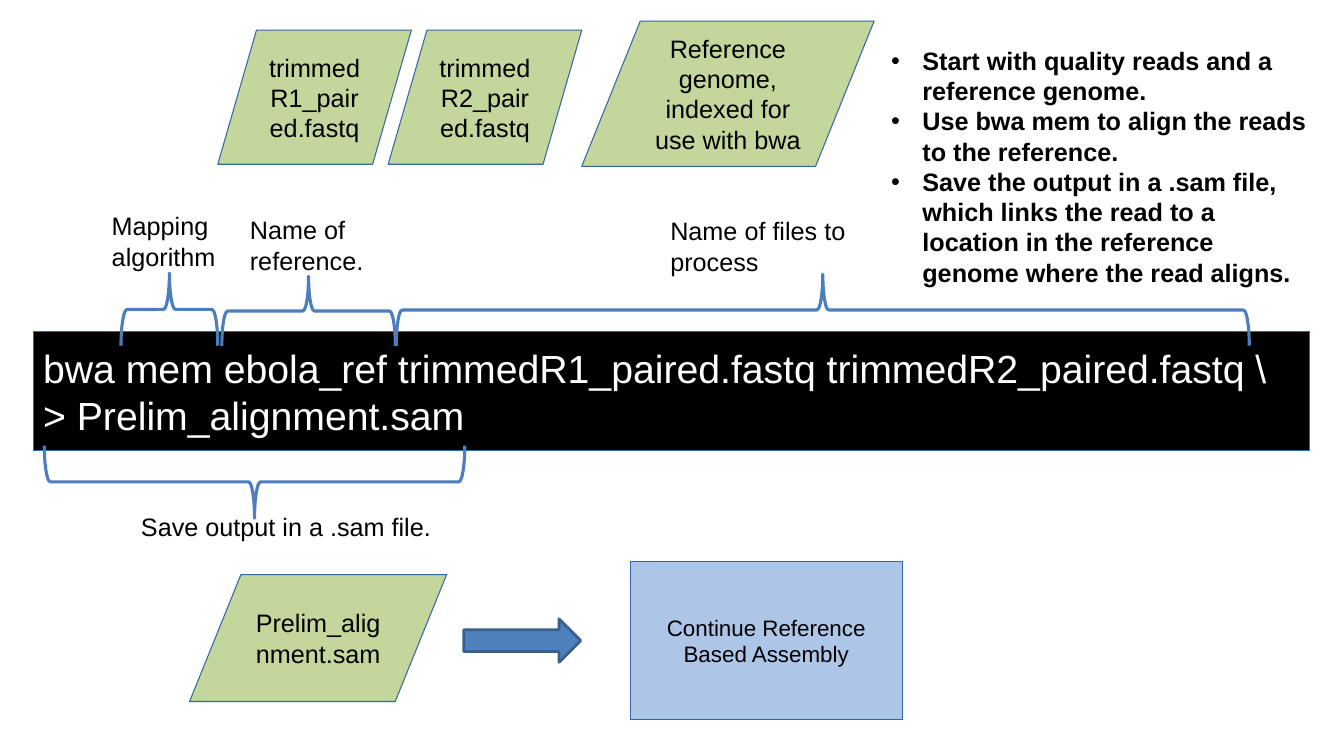
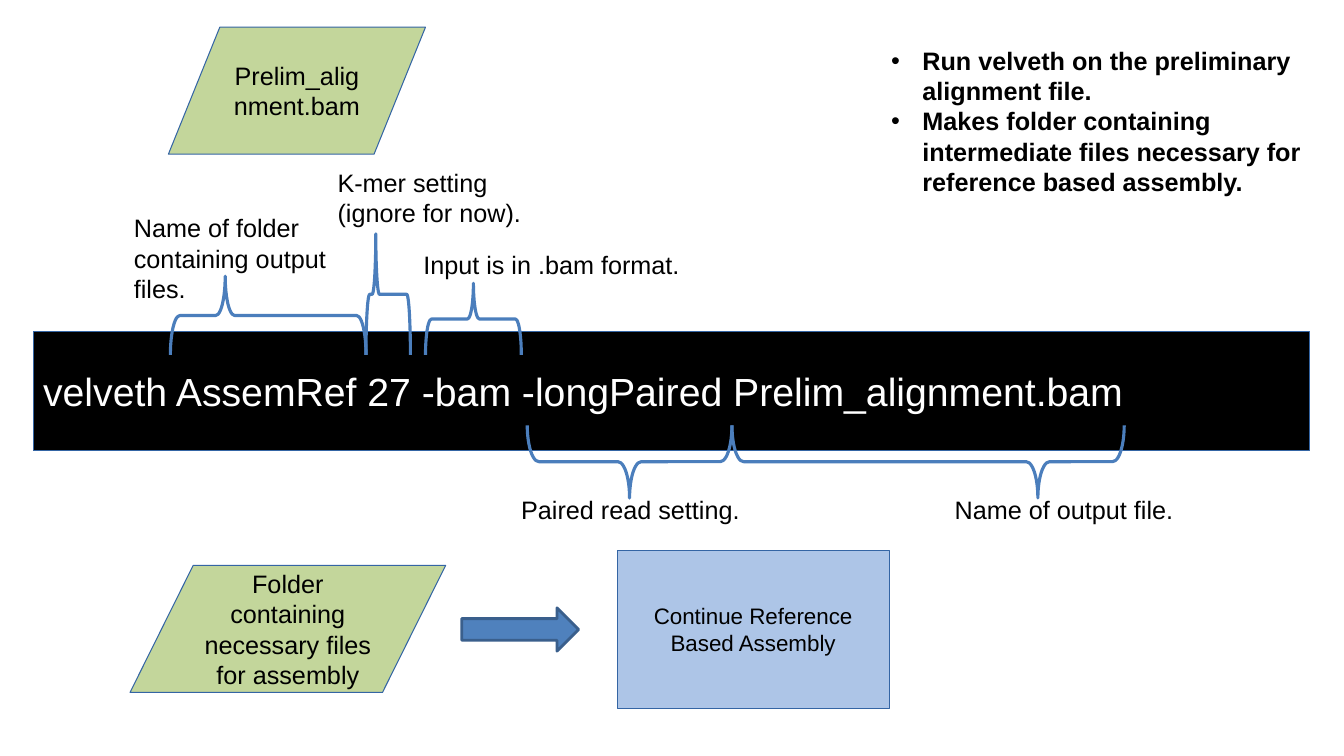
from dataclasses import dataclass

from lxml.etree import SubElement
from pptx import Presentation
from pptx.dml.color import RGBColor
from pptx.enum.shapes import MSO_SHAPE as Preset
from pptx.enum.text import MSO_ANCHOR as Anchor, MSO_AUTO_SIZE as AutoSize, PP_ALIGN as Align
from pptx.oxml.ns import qn
from pptx.shapes.autoshape import Shape
from pptx.slide import Slide
from pptx.util import Inches, Pt


@dataclass(frozen=True)
class Theme:
    font: str = "Arial"
    ink: str = "000000"
    terminal: str = "000000"
    terminal_ink: str = "FFFFFF"
    data: str = "C3D69B"
    step: str = "ADC5E7"
    arrow: str = "4F81BD"
    arrow_edge: str = "3A5F8C"
    edge: str = "3465A4"
    brace: str = "4B7EBC"
    command_size: int = 28
    body_size: int = 18
    step_size: int = 16
    edge_width: float = 0.75
    arrow_width: float = 2
    brace_width: float = 2.25


@dataclass(frozen=True)
class Area:
    left: float
    top: float
    width: float
    height: float

    def turned(self) -> "Area":
        shift = (self.width - self.height) / 2
        return Area(self.left + shift, self.top - shift, self.height, self.width)


@dataclass(frozen=True)
class Item:
    text: str
    area: Area


@dataclass(frozen=True)
class Brace:
    left: float
    span: float
    depth: float
    above: bool = True
    bend: float = 0.083
    tip: float = 0.5


@dataclass(frozen=True)
class CommandPage:
    command: list[str]
    points: list[str]
    data: list[Item]
    labels: list[Item]
    braces: list[Brace]
    upper_edge: float
    lower_edge: float
    arrow: Area
    step: Area


THEME = Theme()
COMMAND_AREA = Area(0.33, 3.29, 12.66, 1.18)
POINTS_AREA = Area(8.74, 0.4, 4.38, 1.48)
STEP_TEXT = "Continue Reference Based Assembly"
BULLET_INDENT = 0.31

PAGES = [
    CommandPage(
        command=[
            "bwa mem ebola_ref trimmedR1_paired.fastq trimmedR2_paired.fastq \\",
            "> Prelim_alignment.sam",
        ],
        points=[
            "Start with quality reads and a reference genome.",
            "Use bwa mem to align the reads to the reference.",
            "Save the output in a .sam file, which links the read to a location "
            "in the reference genome where the read aligns.",
        ],
        data=[
            Item("trimmedR1_paired.fastq", Area(2.16, 0.3, 1.92, 1.33)),
            Item("trimmedR2_paired.fastq", Area(3.85, 0.3, 1.92, 1.33)),
            Item("Reference genome, indexed for use with bwa", Area(5.77, 0.21, 2.9, 1.44)),
            Item("Prelim_alignment.sam", Area(1.88, 5.7, 2.55, 1.26)),
        ],
        labels=[
            Item("Mapping algorithm", Area(1.01, 2.04, 1.35, 0.71)),
            Item("Name of reference.", Area(2.38, 2.08, 1.35, 0.71)),
            Item("Name of files to process", Area(6.55, 2.09, 2.66, 0.71)),
            Item("Save output in a .sam file.", Area(1.3, 5.02, 3.41, 0.4)),
        ],
        braces=[
            Brace(1.2, 0.96, 0.72),
            Brace(2.2, 1.72, 0.69),
            Brace(3.93, 8.46, 0.71),
            Brace(0.44, 4.17, 0.72, above=False),
        ],
        upper_edge=3.43,
        lower_edge=4.42,
        arrow=Area(4.6, 6.14, 1.16, 0.43),
        step=Area(6.25, 5.57, 2.7, 1.57),
    ),
    CommandPage(
        command=["velveth AssemRef 27 -bam -longPaired Prelim_alignment.bam"],
        points=[
            "Run velveth on the preliminary alignment file.",
            "Makes folder containing intermediate files necessary for reference based assembly.",
        ],
        data=[
            Item("Prelim_alignment.bam", Area(1.67, 0.27, 2.55, 1.26)),
            Item("Folder containing necessary files for assembly", Area(1.29, 5.61, 3.13, 1.26)),
        ],
        labels=[
            Item("Name of folder containing output files.", Area(1.23, 2.06, 2.33, 1.01)),
            Item("K-mer setting (ignore for now).", Area(3.25, 1.61, 2.33, 0.71)),
            Item("Input is in .bam format.", Area(4.1, 2.42, 2.94, 0.4)),
            Item("Paired read setting.", Area(5.07, 4.85, 3.41, 0.4)),
            Item("Name of output file.", Area(9.37, 4.85, 3.41, 0.4)),
        ],
        braces=[
            Brace(1.69, 1.94, 0.78, bend=0.12, tip=0.72),
            Brace(3.63, 0.44, 1.2, tip=0.78),
            Brace(4.22, 0.95, 0.71),
            Brace(5.23, 2.03, 0.72, above=False, bend=0.16),
            Brace(7.26, 3.89, 0.72, above=False, bend=0.16, tip=0.78),
        ],
        upper_edge=3.52,
        lower_edge=4.22,
        arrow=Area(4.58, 6.03, 1.16, 0.43),
        step=Area(6.12, 5.46, 2.7, 1.57),
    ),
]


def frame(area: Area) -> list[int]:
    return [Inches(value) for value in (area.left, area.top, area.width, area.height)]


def write(
    box: Shape,
    lines: list[str],
    size: int = THEME.body_size,
    color: str = THEME.ink,
    align: Align = Align.LEFT,
    anchor: Anchor = Anchor.TOP,
    bulleted: bool = False,
) -> None:
    box.text_frame.word_wrap = True
    box.text_frame.vertical_anchor = anchor
    box.text_frame.text = "\n".join(lines)
    font_format = {"name": THEME.font, "size": Pt(size), "bold": bulleted}
    for para in box.text_frame.paragraphs:
        para.alignment = align
        if bulleted:
            add_bullet(para)
        for span in para.runs:
            for name, value in font_format.items():
                setattr(span.font, name, value)
            span.font.color.rgb = RGBColor.from_string(color)


def add_bullet(para) -> None:
    properties = para._p.get_or_add_pPr()
    indent = Inches(BULLET_INDENT)
    properties.set("marL", str(indent))
    properties.set("indent", str(-indent))
    SubElement(properties, qn("a:buFont")).set("typeface", THEME.font)
    SubElement(properties, qn("a:buChar")).set("char", "•")


def draw_shape(
    page: Slide,
    preset: Preset,
    area: Area,
    fill: str | None,
    edge: str = THEME.edge,
    width: float = THEME.edge_width,
) -> Shape:
    shape = page.shapes.add_shape(preset, *frame(area))
    shape.shadow.inherit = False
    if fill:
        shape.fill.solid()
        shape.fill.fore_color.rgb = RGBColor.from_string(fill)
    else:
        shape.fill.background()
    shape.line.color.rgb = RGBColor.from_string(edge)
    shape.line.width = Pt(width)
    return shape


def draw_text(page: Slide, area: Area) -> Shape:
    return page.shapes.add_textbox(*frame(area))


def draw_brace(page: Slide, brace: Brace, edge: float) -> None:
    top = edge - brace.depth if brace.above else edge
    area = Area(brace.left, top, brace.span, brace.depth).turned()
    shape = draw_shape(page, Preset.LEFT_BRACE, area, None, THEME.brace, THEME.brace_width)
    shape.rotation = 90 if brace.above else 270
    shape.adjustments[0] = brace.bend
    shape.adjustments[1] = brace.tip


def draw_page(page: Slide, content: CommandPage) -> None:
    terminal = draw_shape(page, Preset.RECTANGLE, COMMAND_AREA, THEME.terminal)
    write(terminal, content.command, THEME.command_size, THEME.terminal_ink, anchor=Anchor.MIDDLE)
    write(draw_text(page, POINTS_AREA), content.points, bulleted=True)

    for item in content.data:
        shape = draw_shape(page, Preset.FLOWCHART_DATA, item.area, THEME.data)
        write(shape, [item.text], align=Align.CENTER, anchor=Anchor.MIDDLE)
    for brace in content.braces:
        draw_brace(page, brace, content.upper_edge if brace.above else content.lower_edge)
    for item in content.labels:
        label = draw_text(page, item.area)
        write(label, [item.text])
        label.text_frame.auto_size = AutoSize.SHAPE_TO_FIT_TEXT

    draw_shape(
        page, Preset.DOWN_ARROW, content.arrow.turned(),
        THEME.arrow, THEME.arrow_edge, THEME.arrow_width,
    ).rotation = 270
    step = draw_shape(page, Preset.RECTANGLE, content.step, THEME.step)
    write(step, [STEP_TEXT], THEME.step_size, align=Align.CENTER, anchor=Anchor.MIDDLE)


def main() -> None:
    deck = Presentation()
    deck.slide_width = Inches(13.33)
    deck.slide_height = Inches(7.5)
    blank = deck.slide_layouts[6]
    for content in PAGES:
        draw_page(deck.slides.add_slide(blank), content)
    deck.save("out.pptx")


if __name__ == "__main__":
    main()
